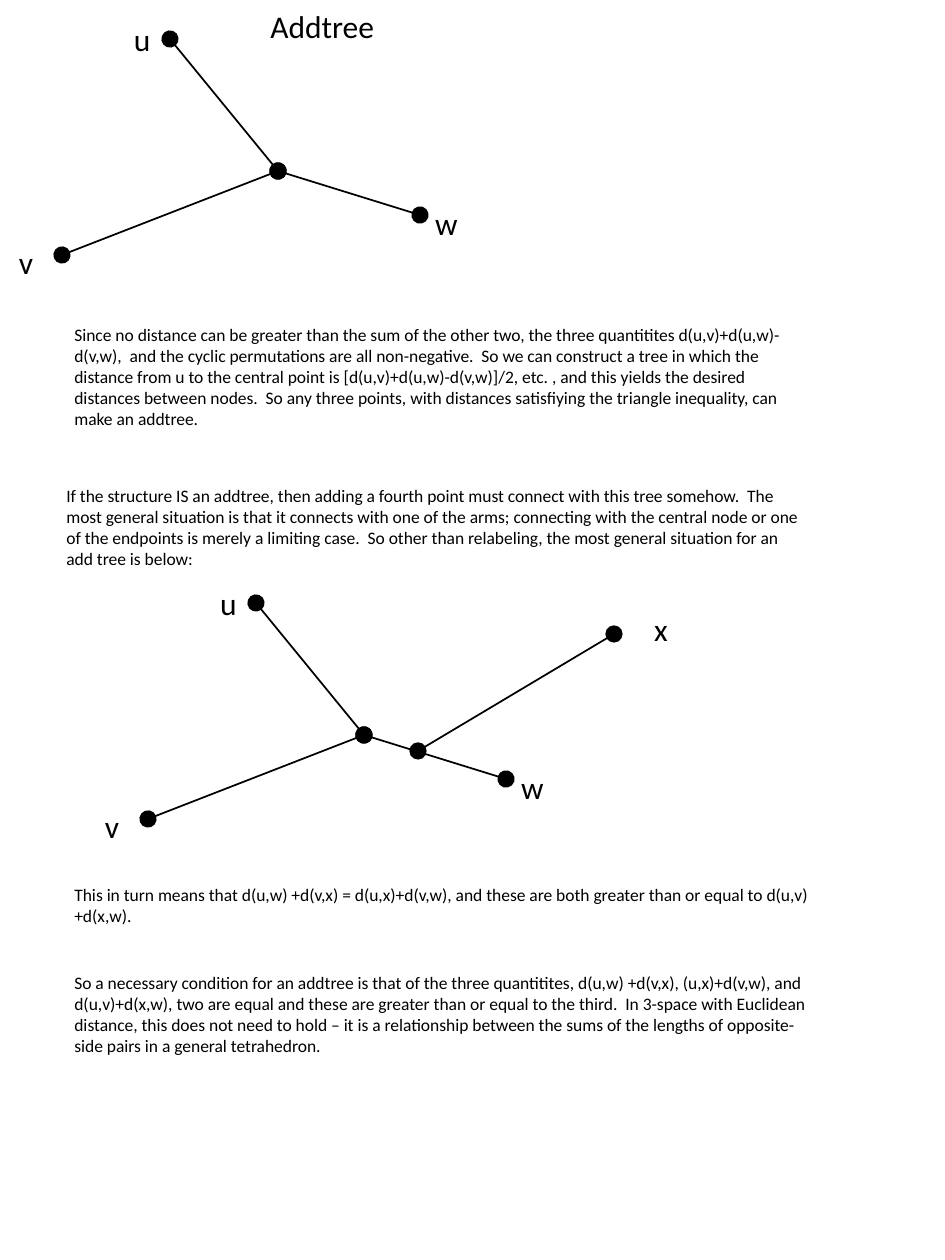
"""Build the addtree slide: two tree diagrams with explanatory text."""
from lxml.etree import SubElement
from pptx import Presentation
from pptx.dml.color import RGBColor
from pptx.enum.shapes import MSO_CONNECTOR
from pptx.enum.text import MSO_ANCHOR, MSO_AUTO_SIZE, PP_ALIGN
from pptx.oxml.ns import qn
from pptx.util import Emu, Pt

PX = 914400 // 126
THEME = {"ink": RGBColor(0, 0, 0), "font": "Calibri", "large": Pt(18), "body": Pt(10), "rule": Pt(1)}
PLAIN = {"word_wrap": True, "auto_size": MSO_AUTO_SIZE.SHAPE_TO_FIT_TEXT}
TITLE = {**PLAIN, "word_wrap": False}
LABEL = {**TITLE, "vertical_anchor": MSO_ANCHOR.MIDDLE, "margin_left": 0,
         "margin_top": 0, "margin_right": 0, "margin_bottom": 0}

deck = Presentation()
deck.slide_width, deck.slide_height = Emu(945 * PX), Emu(1260 * PX)
slide = deck.slides.add_slide(deck.slide_layouts[6])


def add_text(text, box, size, form, align=PP_ALIGN.LEFT):
    frame = slide.shapes.add_textbox(*[Emu(n * PX) for n in box]).text_frame
    for key, value in form.items():
        setattr(frame, key, value)
    para = frame.paragraphs[0]
    para.alignment = align
    run = para.add_run()
    run.text = text
    run.font.name, run.font.size = THEME["font"], THEME[size]
    run.font.color.rgb = THEME["ink"]


def add_edge(start, end):
    ends = [Emu(n * PX) for n in (*start, *end)]
    edge = slide.shapes.add_connector(MSO_CONNECTOR.STRAIGHT, *ends)
    edge.line.color.rgb, edge.line.width = THEME["ink"], THEME["rule"]
    for tip in ("a:headEnd", "a:tailEnd"):
        SubElement(edge.line._get_or_add_ln(), qn(tip), type="oval", w="lg", len="lg")
    SubElement(edge._element.spPr, qn("a:effectLst"))


HUB = (278, 171)
LEAVES = [
    ("w", (420, 215), (435, 204, 23)),
    ("u", (170, 39), (134, 20, 16)),
    ("v", (62, 255), (19, 243, 14)),
]
for dx, dy in [(0, 0), (86, 564)]:
    hub = (HUB[0] + dx, HUB[1] + dy)
    for name, (x, y), (left, top, width) in LEAVES:
        add_edge(hub, (x + dx, y + dy))
        add_text(name, (left + dx, top + dy, width, 38), "large", LABEL, PP_ALIGN.CENTER)

add_edge((418, 751), (614, 634))
add_text("x", (654, 610, 14, 38), "large", LABEL, PP_ALIGN.CENTER)
add_text("Addtree", (258, 1, 130, 50), "large", TITLE)

NOTES = [
    (62, 318, 118,
     "Since no distance can be greater than the sum of the other two, the three quantitites "
     "d(u,v)+d(u,w)-d(v,w),  and the cyclic permutations are all non-negative.  So we can "
     "construct a tree in which the distance from u to the central point is "
     "[d(u,v)+d(u,w)-d(v,w)]/2, etc. , and this yields the desired distances between nodes.  "
     "So any three points, with distances satisfiying the triangle inequality, can make an addtree."),
    (54, 479, 97,
     "If the structure IS an addtree, then adding a fourth point must connect with this tree "
     "somehow.  The most general situation is that it connects with one of the arms; connecting "
     "with the central node or one of the endpoints is merely a limiting case.  So other than "
     "relabeling, the most general situation for an add tree is below:"),
    (62, 878, 55,
     "This in turn means that d(u,w) +d(v,x) = d(u,x)+d(v,w), and these are both greater than "
     "or equal to d(u,v)+d(x,w)."),
    (62, 966, 97,
     "So a necessary condition for an addtree is that of the three quantitites, d(u,w) +d(v,x), "
     "(u,x)+d(v,w), and d(u,v)+d(x,w), two are equal and these are greater than or equal to the "
     "third.  In 3-space with Euclidean distance, this does not need to hold – it is a "
     "relationship between the sums of the lengths of opposite-side pairs in a general tetrahedron."),
]
for left, top, height, text in NOTES:
    add_text(text, (left, top, 760, height), "body", PLAIN)

deck.save("out.pptx")
